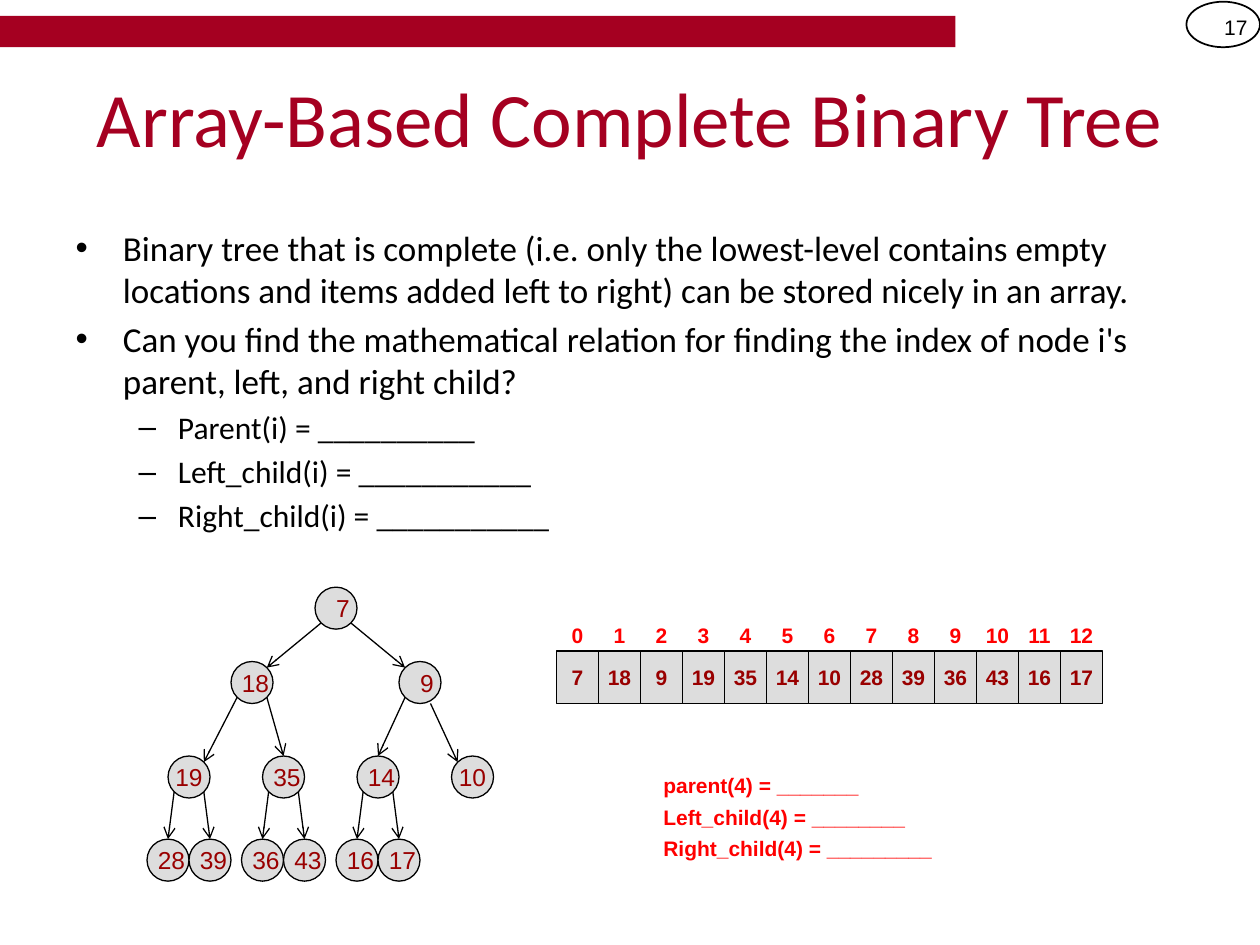
"""Build the slide on array-based complete binary trees."""
from lxml import etree
from pptx import Presentation
from pptx.dml.color import RGBColor
from pptx.enum.shapes import MSO_CONNECTOR, MSO_SHAPE
from pptx.enum.text import MSO_ANCHOR, MSO_AUTO_SIZE, PP_ALIGN
from pptx.oxml.ns import qn
from pptx.util import Pt

STRAIGHT = MSO_CONNECTOR.STRAIGHT
OVAL, RECTANGLE = MSO_SHAPE.OVAL, MSO_SHAPE.RECTANGLE
TOP, MIDDLE = MSO_ANCHOR.TOP, MSO_ANCHOR.MIDDLE
LEFT, CENTER, RIGHT = PP_ALIGN.LEFT, PP_ALIGN.CENTER, PP_ALIGN.RIGHT
COLORS = {"crimson": "A50021", "black": "000000", "gray": "DDDDDD",
          "value": "990000", "red": "FF0000"}


def add_box(kind, left, top, width, height, fill=None, line_width=None):
    shape = slide.shapes.add_shape(kind, Pt(left), Pt(top), Pt(width), Pt(height))
    shape.shadow.inherit = False
    if fill:
        shape.fill.solid()
        shape.fill.fore_color.rgb = RGBColor.from_string(COLORS[fill])
    else:
        shape.fill.background()
    if line_width:
        shape.line.color.rgb = RGBColor.from_string(COLORS["black"])
        shape.line.width = Pt(line_width)
    else:
        shape.line.fill.background()
    return shape


def write(shape, text, size, color, font="Arial", bold=False, align=CENTER,
          anchor=MIDDLE, wrap=True):
    frame = shape.text_frame
    frame.word_wrap = wrap
    frame.auto_size = MSO_AUTO_SIZE.NONE
    frame.vertical_anchor = anchor
    paragraph = frame.paragraphs[0]
    paragraph.alignment = align
    run = paragraph.add_run()
    run.text = text
    run.font.name = font
    run.font.size = Pt(size)
    run.font.bold = bold
    run.font.color.rgb = RGBColor.from_string(COLORS[color])


presentation = Presentation()
presentation.slide_width, presentation.slide_height = Pt(720), Pt(540)
slide = presentation.slides.add_slide(presentation.slide_layouts[1])

page_number = slide.shapes.add_textbox(Pt(678), Pt(1), Pt(42), Pt(28.5))
write(page_number, "17", 12, "black", align=RIGHT)
add_box(RECTANGLE, 0, 9, 546, 18, "crimson")
add_box(OVAL, 678, 1, 42, 26, line_width=1)

title = slide.shapes.title
title.left, title.top, title.width, title.height = Pt(36), Pt(21.6), Pt(648), Pt(90)
write(title, "Array-Based Complete Binary Tree", 44, "crimson", "Calibri")

body = slide.placeholders[1]
body.left, body.top, body.width, body.height = Pt(36), Pt(126), Pt(648), Pt(356.4)
body.text_frame.auto_size = MSO_AUTO_SIZE.NONE
bullets = [
    (0, "Binary tree that is complete (i.e. only the lowest-level contains empty "
        "locations and items added left to right) can be stored nicely in an array."),
    (0, "Can you find the mathematical relation for finding the index of node i's "
        "parent, left, and right child?"),
    (1, "Parent(i) = __________"),
    (1, "Left_child(i) = ___________"),
    (1, "Right_child(i) = ___________"),
]
for index, (level, text) in enumerate(bullets):
    frame = body.text_frame
    paragraph = frame.add_paragraph() if index else frame.paragraphs[0]
    size = 18 if level else 20
    paragraph.level = level
    paragraph.space_before = Pt(0.2 * size if index else 0)
    run = paragraph.add_run()
    run.text = text
    run.font.name = "Calibri"
    run.font.size = Pt(size)
    run.font.color.rgb = RGBColor.from_string(COLORS["black"])

values = [7, 18, 9, 19, 35, 14, 10, 28, 39, 36, 43, 16, 17]
node_lefts = [180, 132, 228, 96, 150, 204, 258, 84, 108, 138, 162, 192, 216]
level_tops = [335.5, 378, 432, 479.5]
label_shifts = {0: 7.8, 2: 7.8, 3: 0, 6: 0}
diagonal_arrivals = {1, 2, 3, 6}
node_size = 24
node_tops = [level_tops[(index + 1).bit_length() - 1] for index in range(len(values))]

for left, top in zip(node_lefts, node_tops):
    add_box(OVAL, left, top, node_size, node_size, "gray", 0.75)

for child in range(1, len(values)):
    parent = (child - 1) // 2
    side = -1 if child % 2 else 1
    leave_x, leave_y = (6, 24) if child == 6 else (8.5, 20.5)
    arrive_x, arrive_y = (8.5, 3.5) if child in diagonal_arrivals else (0, 0)
    edge = slide.shapes.add_connector(
        STRAIGHT,
        Pt(node_lefts[parent] + node_size / 2 + side * leave_x),
        Pt(node_tops[parent] + leave_y),
        Pt(node_lefts[child] + node_size / 2 - side * arrive_x),
        Pt(node_tops[child] + arrive_y))
    edge.line.color.rgb = RGBColor.from_string(COLORS["black"])
    edge.line.width = Pt(0.75)
    etree.SubElement(edge.line._get_or_add_ln(), qn("a:tailEnd"), type="arrow")
    etree.SubElement(edge._element.spPr, qn("a:effectLst"))

for index, value in enumerate(values):
    label = slide.shapes.add_textbox(
        Pt(node_lefts[index] - 6), Pt(node_tops[index]), Pt(36), Pt(24.5))
    label.text_frame.margin_left = Pt(7.2 + label_shifts.get(index, 3.9))
    write(label, str(value), 14, "value", anchor=TOP)

for index, value in enumerate(values):
    left = 318 + 24 * index
    cell = add_box(RECTANGLE, left, 372, 24, 30, "gray", 0.75)
    write(cell, str(value), 12, "value", bold=True, wrap=False)
    index_label = slide.shapes.add_textbox(Pt(left), Pt(354), Pt(24), Pt(18))
    write(index_label, str(index), 12, "red", bold=True, wrap=False)

exercises = ["parent(4) = _______", "Left_child(4) = ________", "Right_child(4) = _________"]
for row, text in enumerate(exercises):
    exercise = slide.shapes.add_textbox(Pt(372), Pt(438 + 18 * row), Pt(174), Pt(21.6))
    write(exercise, text, 12, "red", bold=True, align=LEFT, anchor=TOP)

presentation.save("out.pptx")
